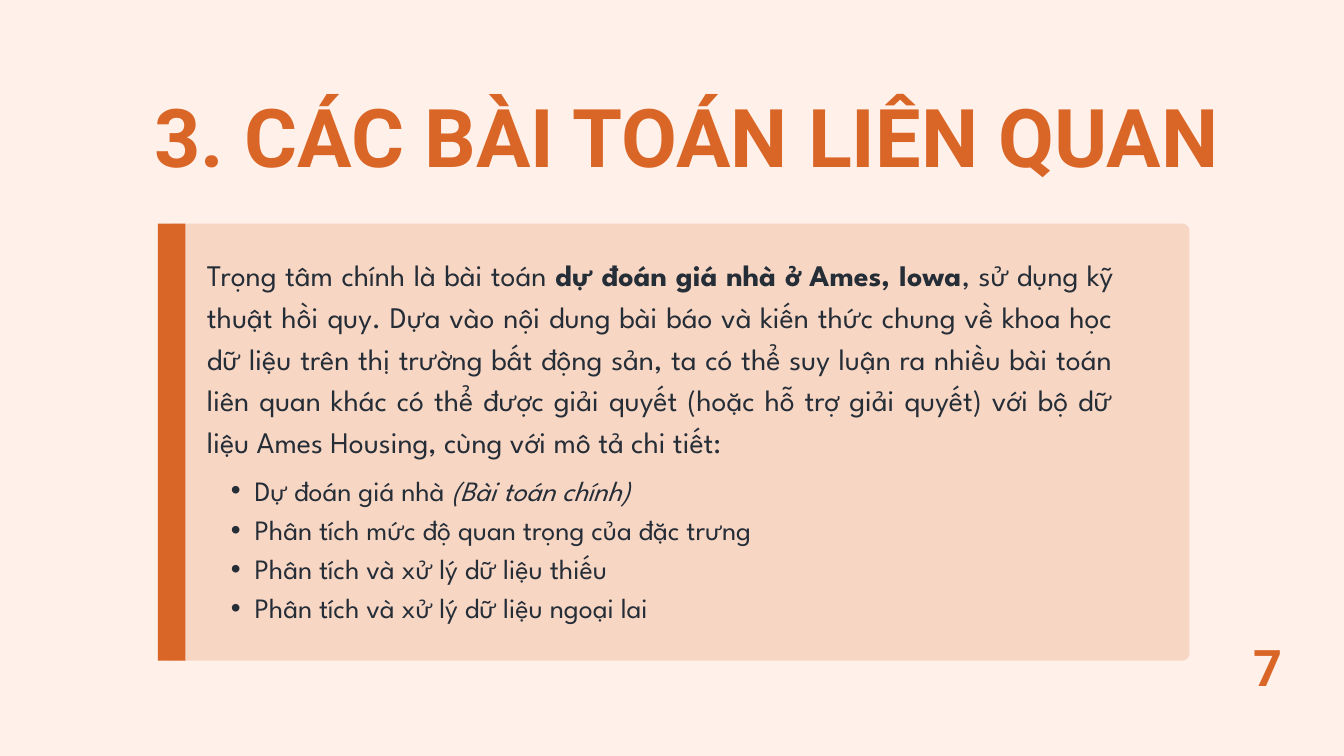
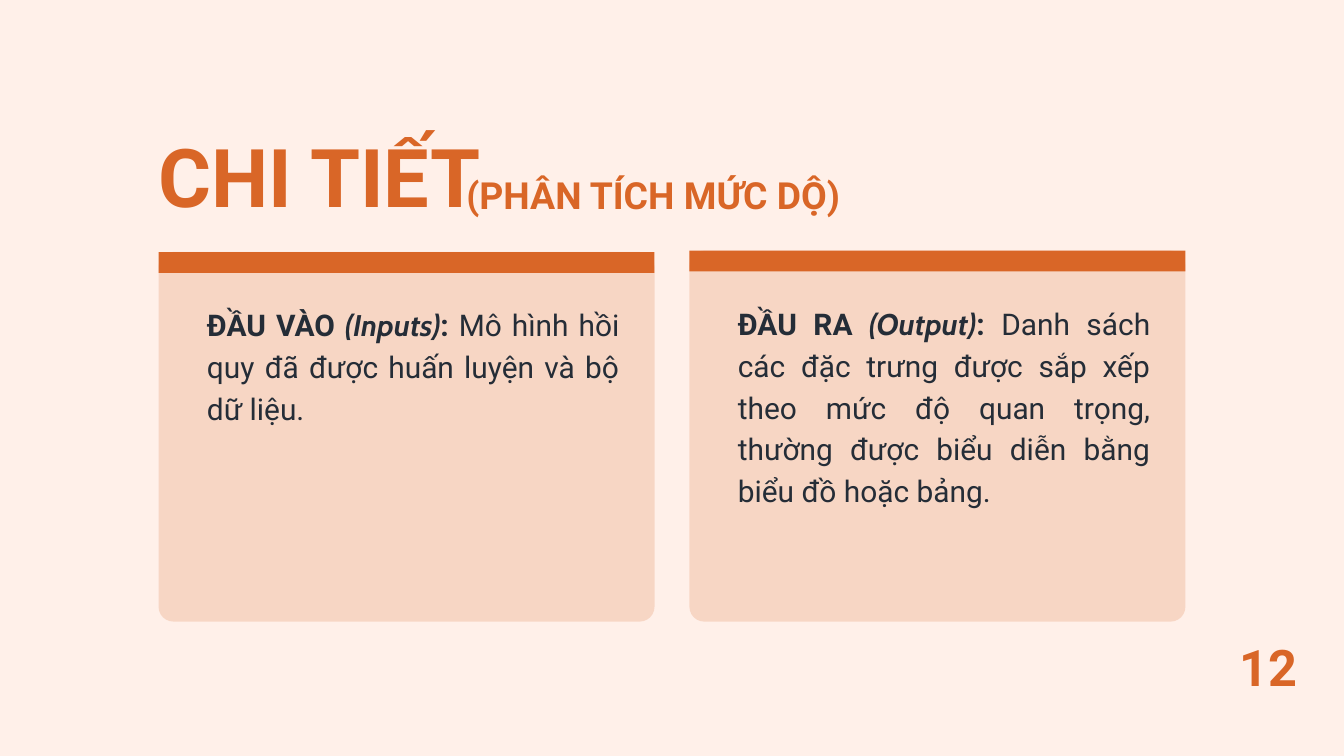
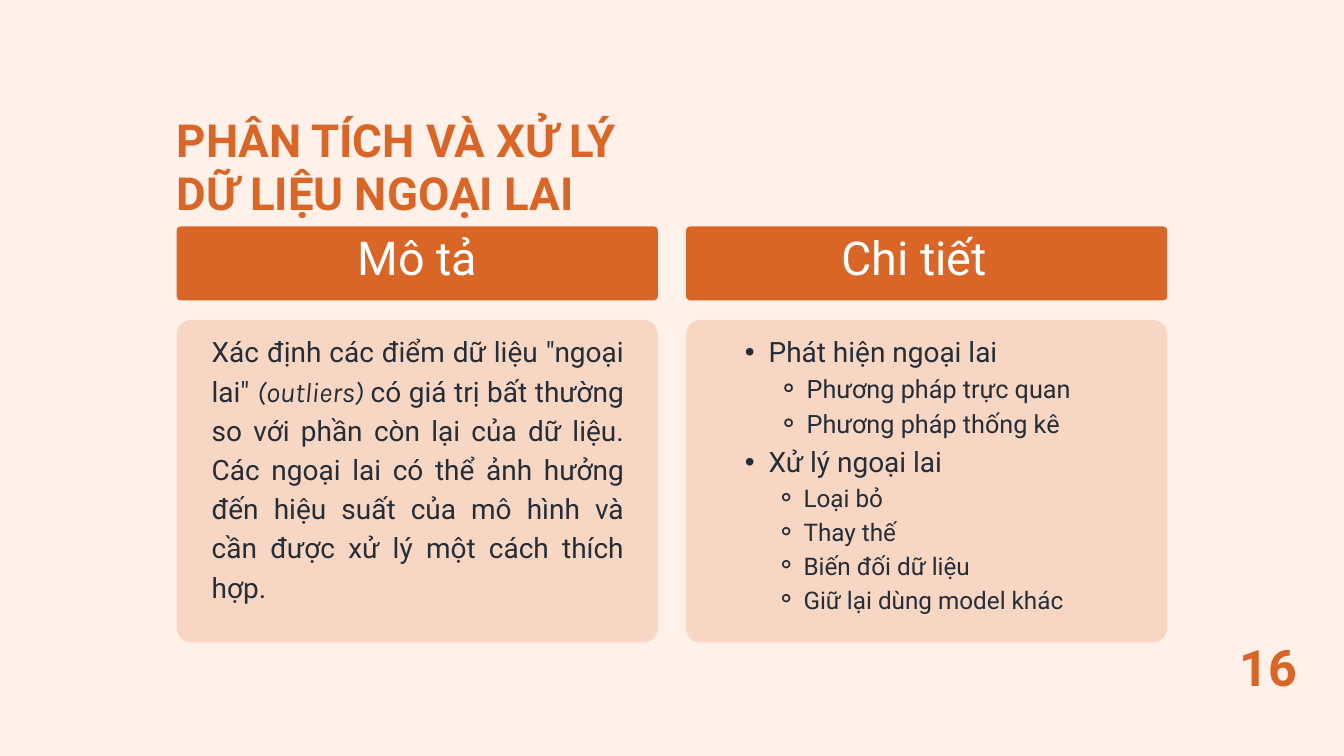
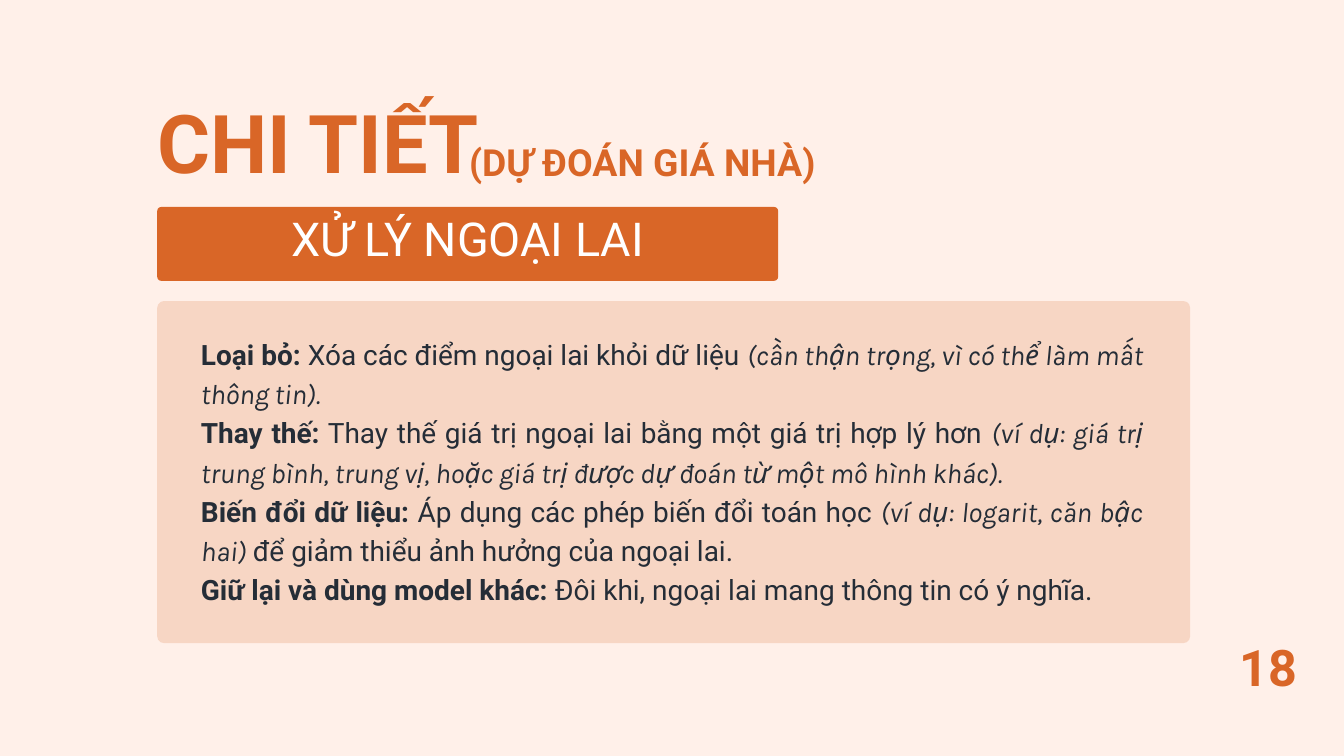
from dataclasses import dataclass

from lxml.etree import SubElement
from pptx import Presentation
from pptx.dml.color import RGBColor
from pptx.enum.shapes import MSO_SHAPE
from pptx.enum.text import MSO_ANCHOR, MSO_AUTO_SIZE, PP_ALIGN
from pptx.oxml.ns import qn
from pptx.util import Inches, Pt

CREAM = RGBColor(0xFF, 0xF0, 0xE9)
ORANGE = RGBColor(0xD9, 0x66, 0x27)
INK = RGBColor(0x25, 0x2D, 0x37)
WHITE = RGBColor(0xFF, 0xFF, 0xFF)

COLUMNS = 20
BODY_SPACING = 1.4
HEADING_SPACING = 0.8
BULLETS = {1: "•", 2: "⚬"}
TITLE_AND_CONTENT, TWO_CONTENT, TITLE_ONLY = 1, 3, 5

ROBOTO = {"name": "Roboto"}
BOLD = ROBOTO | {"bold": True}
SPARTAN = {"name": "League Spartan"}
SPARTAN_BOLD = SPARTAN | {"bold": True}
SPARTAN_ITALIC = SPARTAN | {"italic": True}
CABIN = {"name": "Cabin", "bold": True, "italic": True}
KARLA = {"name": "Karla", "italic": True}

FRAME_FORMAT = {
    "margin_left": 0, "margin_top": 0, "margin_right": 0, "margin_bottom": 0,
    "word_wrap": True,
    "vertical_anchor": MSO_ANCHOR.TOP,
    "auto_size": MSO_AUTO_SIZE.SHAPE_TO_FIT_TEXT,
}


def apply(target, values):
    for attribute, value in values.items():
        setattr(target, attribute, value)


@dataclass
class Line:
    runs: list
    size: float
    level: int = 0


class Deck:
    def __init__(self):
        self.presentation = Presentation()
        apply(self.presentation, {"slide_width": Inches(20), "slide_height": Inches(11.25)})
        self.cell = self.presentation.slide_width / COLUMNS
        backdrop = self.presentation.slide_master.background.fill
        backdrop.solid()
        backdrop.fore_color.rgb = CREAM
        self.slide = None

    def start(self, layout, number):
        self.slide = self.presentation.slides.add_slide(self.presentation.slide_layouts[layout])
        self.text((18.29, 9.77, 1.16, 0.69), [Line([(number, BOLD)], 54)],
                  ORANGE, HEADING_SPACING, PP_ALIGN.CENTER)

    def span(self, area):
        return [round(length * self.cell) for length in area]

    def block(self, area, radius=0.0, alpha=None):
        kind = MSO_SHAPE.ROUNDED_RECTANGLE if radius else MSO_SHAPE.RECTANGLE
        block = self.slide.shapes.add_shape(kind, *self.span(area))
        if radius:
            block.adjustments[0] = radius / min(area[2:])
        block.shadow.inherit = False
        block.line.fill.background()
        block.fill.solid()
        block.fill.fore_color.rgb = ORANGE
        if alpha:
            color = block.fill._xPr.find(qn("a:solidFill"))[0]
            SubElement(color, qn("a:alpha")).set("val", str(alpha * 1000))

    def panel(self, area, radius):
        self.block(area, radius, alpha=19)

    def text(self, area, lines, color=INK, spacing=BODY_SPACING,
             align=PP_ALIGN.JUSTIFY, holder=None):
        shapes = self.slide.shapes
        if holder is None:
            box = shapes.add_textbox(*self.span(area))
        else:
            box = self.slide.placeholders[holder]
            apply(box, dict(zip(("left", "top", "width", "height"), self.span(area))))
            shapes._spTree.append(box._element)
        frame = box.text_frame
        apply(frame, FRAME_FORMAT)
        for index, line in enumerate(lines):
            paragraph = frame.add_paragraph() if index else frame.paragraphs[0]
            apply(paragraph, {
                "alignment": align,
                "level": line.level,
                "line_spacing": Pt(line.size * spacing),
                "space_before": Pt(0),
                "space_after": Pt(0),
            })
            self.bullet(paragraph, line)
            for words, font_format in line.runs:
                run = paragraph.add_run()
                run.text = words
                apply(run.font, {"size": Pt(line.size)} | font_format)
                run.font.color.rgb = color

    def bullet(self, paragraph, line):
        properties = paragraph._p.get_or_add_pPr()
        indent = Pt(1.7 * line.size * line.level)
        properties.set("marL", str(indent))
        properties.set("indent", str(-(indent // (line.level + 1))))
        if line.level:
            SubElement(properties, qn("a:buChar")).set("char", BULLETS[line.level])
        else:
            SubElement(properties, qn("a:buNone"))

    def title(self, area, rows, size=86.8, spacing=HEADING_SPACING):
        self.text(area, [Line([(row, BOLD)], size) for row in rows],
                  ORANGE, spacing, PP_ALIGN.LEFT, holder=0)

    def detail_title(self, left, top, subtitle_left, subtitle):
        self.title((left, top, 5.47, 1.09), ["CHI TIẾT"])
        self.text((subtitle_left, top + 0.43, 5.77, 0.5), [Line([(subtitle, BOLD)], 40)],
                  ORANGE, HEADING_SPACING, PP_ALIGN.LEFT)

    def band(self, area, label, label_left, label_width):
        self.block(area, radius=0.06)
        self.text((label_left, area[1] + 0.32, label_width, 0.64), [Line([(label, ROBOTO)], 50)],
                  WHITE, HEADING_SPACING, PP_ALIGN.CENTER)


def related_problems(deck):
    deck.start(TITLE_AND_CONTENT, "7")
    deck.title((2.3, 1.77, 17.16, 1.09), ["3. CÁC BÀI TOÁN LIÊN QUAN"])
    deck.panel((2.46, 3.33, 15.24, 6.5), radius=0.1)
    deck.block((2.35, 3.33, 0.41, 6.5))
    deck.text((3.08, 3.73, 13.49, 3.05), [Line([
        ("Trọng tâm chính là bài toán ", SPARTAN),
        ("dự đoán giá nhà ở Ames, Iowa", SPARTAN_BOLD),
        (", sử dụng kỹ thuật hồi quy. Dựa vào nội dung bài báo và kiến thức chung về khoa học "
         "dữ liệu trên thị trường bất động sản, ta có thể suy luận ra nhiều bài toán liên quan "
         "khác có thể được giải quyết (hoặc hỗ trợ giải quyết) với bộ dữ liệu Ames Housing, "
         "cùng với mô tả chi tiết:", SPARTAN),
    ], 32)])
    problems = [
        [("Dự đoán giá nhà ", SPARTAN), ("(Bài toán chính)", SPARTAN_ITALIC)],
        [("Phân tích mức độ quan trọng của đặc trưng", SPARTAN)],
        [("Phân tích và xử lý dữ liệu thiếu", SPARTAN)],
        [("Phân tích và xử lý dữ liệu ngoại lai", SPARTAN)],
    ]
    deck.text((3.08, 6.96, 13.49, 2.31), [Line(runs, 30, 1) for runs in problems], holder=1)


def importance_details(deck):
    deck.start(TWO_CONTENT, "12")
    deck.detail_title(2.36, 2.36, 6.94, "(PHÂN TÍCH MỨC DỘ)")
    cards = [
        (2.36, 3.75, "ĐẦU VÀO ", "(Inputs)",
         " Mô hình hồi quy đã được huấn luyện và bộ dữ liệu."),
        (10.26, 3.73, "ĐẦU RA ", "(Output)",
         " Danh sách các đặc trưng được sắp xếp theo mức độ quan trọng, thường được "
         "biểu diễn bằng biểu đồ hoặc bảng."),
    ]
    for holder, (left, top, heading, term, description) in enumerate(cards, 1):
        deck.panel((left, top, 7.38, 9.25 - top), radius=0.22)
        deck.block((left, top, 7.38, 0.31))
        deck.text((left + 0.72, top + 0.73, 6.14, 3.06), [Line([
            (heading, BOLD), (term, CABIN), (":", BOLD), (description, ROBOTO),
        ], 32)], holder=holder)


def outlier_overview(deck):
    deck.start(TWO_CONTENT, "16")
    deck.title((2.63, 1.7, 14.73, 1.58), ["PHÂN TÍCH VÀ XỬ LÝ", "DỮ LIỆU NGOẠI LAI"], 48.8, 1.16)
    description = [Line([
        ('Xác định các điểm dữ liệu "ngoại lai" ', ROBOTO),
        ("(outliers) ", KARLA),
        ("có giá trị bất thường so với phần còn lại của dữ liệu. Các ngoại lai có thể ảnh hưởng "
         "đến hiệu suất của mô hình và cần được xử lý một cách thích hợp.", ROBOTO),
    ], 30)]
    outline = [
        ("Phát hiện ngoại lai", 30, 1),
        ("Phương pháp trực quan", 27, 2),
        ("Phương pháp thống kê", 27, 2),
        ("Xử lý ngoại lai", 30, 1),
        ("Loại bỏ", 26, 2),
        ("Thay thế", 26, 2),
        ("Biến đối dữ liệu", 26, 2),
        ("Giữ lại dùng model khác", 26, 2),
    ]
    steps = [Line([(words, ROBOTO)], size, level) for words, size, level in outline]
    columns = [
        (2.63, "Mô tả", 3.66, 5.11, description, 3.5),
        (10.21, "Chi tiết", 11, 5.21, steps, 4.21),
    ]
    for holder, (left, label, label_left, label_width, lines, height) in enumerate(columns, 1):
        deck.panel((left, 4.76, 7.16, 4.8), radius=0.22)
        deck.band((left, 3.37, 7.16, 1.1), label, label_left, label_width)
        deck.text((left + 0.52, 4.9, 6.14, height), lines, holder=holder)


def outlier_handling(deck):
    deck.start(TITLE_AND_CONTENT, "18")
    deck.detail_title(2.34, 1.86, 6.98, "(DỰ ĐOÁN GIÁ NHÀ)")
    deck.panel((2.34, 4.48, 15.37, 5.09), radius=0.1)
    deck.band((2.34, 3.08, 9.24, 1.1), "XỬ LÝ NGOẠI LAI", 3.39, 7.14)
    methods = [
        [("Loại bỏ:", BOLD),
         (" Xóa các điểm ngoại lai khỏi dữ liệu ", ROBOTO),
         ("(cần thận trọng, vì có thể làm mất thông tin).", KARLA)],
        [("Thay thế:", BOLD),
         (" Thay thế giá trị ngoại lai bằng một giá trị hợp lý hơn ", ROBOTO),
         ("(ví dụ: giá trị trung bình, trung vị, hoặc giá trị được dự đoán từ một mô hình "
          "khác).", KARLA)],
        [("Biến đổi dữ liệu: ", BOLD),
         ("Áp dụng các phép biến đổi toán học ", ROBOTO),
         ("(ví dụ: logarit, căn bậc hai) ", KARLA),
         ("để giảm thiểu ảnh hưởng của ngoại lai.", ROBOTO)],
        [("Giữ lại và dùng model khác: ", BOLD),
         ("Đôi khi, ngoại lai mang thông tin có ý nghĩa.", ROBOTO)],
    ]
    deck.text((2.99, 4.94, 14.02, 4.08), [Line(runs, 30) for runs in methods], holder=1)


def main():
    deck = Deck()
    for build in (related_problems, importance_details, outlier_overview, outlier_handling):
        build(deck)
    deck.presentation.save("out.pptx")


if __name__ == "__main__":
    main()
